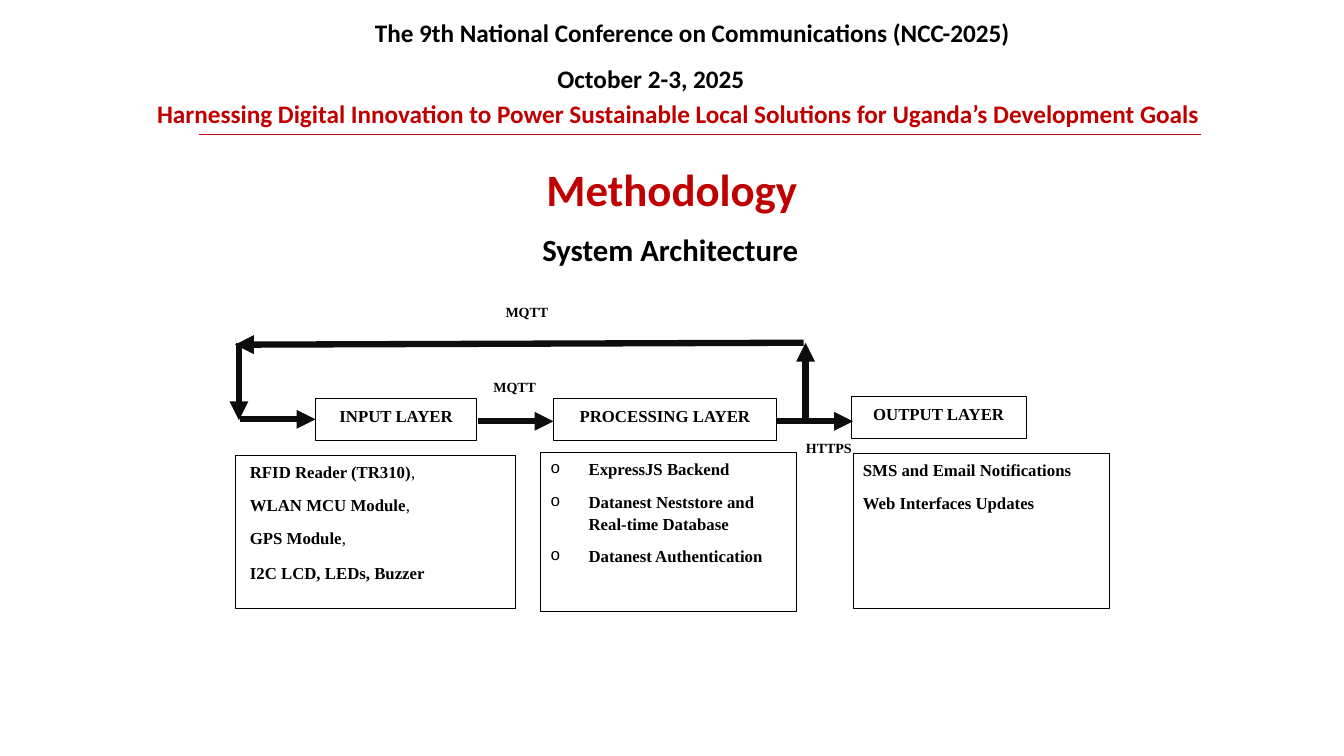
import pptx
import pptx.util
import pptx.dml.color
import pptx.enum.shapes
import pptx.enum.text
import pptx.oxml.ns
from lxml import etree

Inches = pptx.util.Inches
Pt = pptx.util.Pt
RGBColor = pptx.dml.color.RGBColor
ALIGN = pptx.enum.text.PP_ALIGN
ANCHOR = pptx.enum.text.MSO_ANCHOR
qn = pptx.oxml.ns.qn

BLACK = RGBColor(0x00, 0x00, 0x00)
WHITE = RGBColor(0xFF, 0xFF, 0xFF)
RED = RGBColor(0xC0, 0x00, 0x00)
ARROW = RGBColor(0x0D, 0x0D, 0x0D)
SANS = "Calibri"
SERIF = "Times New Roman"


def add_run(p, text, size, font, color=BLACK, bold=True):
    r = p.add_run()
    r.text = text
    r.font.size = Pt(size)
    r.font.name = font
    r.font.bold = bold
    r.font.color.rgb = color


def add_text(s, box, text, size, font, color=BLACK, align=ALIGN.LEFT, spacing=1.0):
    tf = s.shapes.add_textbox(*map(Inches, box)).text_frame
    tf.word_wrap = True
    tf.vertical_anchor = ANCHOR.TOP
    p = tf.paragraphs[0]
    p.alignment = align
    p.line_spacing = spacing
    add_run(p, text, size, font, color)


def add_label(s, box, text):
    add_text(s, box, text, 10, SERIF, align=ALIGN.CENTER, spacing=1.15)


def add_box(s, box):
    sp = s.shapes.add_shape(pptx.enum.shapes.MSO_SHAPE.RECTANGLE, *map(Inches, box))
    sp.shadow.inherit = False
    sp.fill.solid()
    sp.fill.fore_color.rgb = WHITE
    sp.line.color.rgb = BLACK
    sp.line.width = Pt(0.5)
    tf = sp.text_frame
    tf.word_wrap = True
    tf.vertical_anchor = ANCHOR.TOP
    return tf


def add_layer(s, box, text):
    p = add_box(s, box).paragraphs[0]
    p.alignment = ALIGN.CENTER
    p.line_spacing = 1.15
    add_run(p, text, 12, SERIF)


def set_indent(p, margin, hanging, bullet):
    pPr = p._p.get_or_add_pPr()
    pPr.set("marL", str(Inches(margin)))
    pPr.set("indent", str(-Inches(hanging)))
    if bullet:
        etree.SubElement(pPr, qn("a:buFont")).set("typeface", "Courier New")
        etree.SubElement(pPr, qn("a:buChar")).set("char", bullet)
    else:
        etree.SubElement(pPr, qn("a:buNone"))


def add_details(s, box, items, margin, hanging, bullet=None, ending="", last_gap=0):
    tf = add_box(s, box)
    for i, item in enumerate(items):
        last = i == len(items) - 1
        p = tf.paragraphs[0] if i == 0 else tf.add_paragraph()
        set_indent(p, margin, hanging, bullet)
        p.alignment = ALIGN.LEFT
        p.line_spacing = 1.07
        p.space_after = Pt(8)
        if last:
            p.space_before = Pt(last_gap)
        add_run(p, item, 12, SERIF)
        if ending and not last:
            add_run(p, ending, 12, SERIF, bold=False)


def add_line(s, points, color, width, arrow=False):
    c = s.shapes.add_connector(pptx.enum.shapes.MSO_CONNECTOR.STRAIGHT,
                               *map(Inches, points))
    c.line.color.rgb = color
    c.line.width = Pt(width)
    if arrow:
        etree.SubElement(c.line._get_or_add_ln(), qn("a:tailEnd")).set("type", "triangle")
    etree.SubElement(c._element.spPr, qn("a:effectLst"))


def add_header(s):
    add_text(s, (3.62, 0.12, 7.6, 0.4),
             "The 9th National Conference on Communications (NCC-2025)", 18, SANS)
    add_text(s, (5.43, 0.58, 2.45, 0.4), "October 2-3, 2025", 18, SANS)
    add_text(s, (1.46, 0.93, 10.62, 0.4),
             "Harnessing Digital Innovation to Power Sustainable Local Solutions "
             "for Uganda’s Development Goals", 18, SANS, RED)
    add_line(s, (1.97, 1.33, 11.91, 1.33), RED, 0.5)


def add_architecture(s):
    for box, text in (
        ((3.13, 3.95, 1.6, 0.42), "INPUT LAYER"),
        ((5.49, 3.95, 2.21, 0.42), "PROCESSING LAYER"),
        ((8.44, 3.93, 1.74, 0.42), "OUTPUT LAYER"),
    ):
        add_layer(s, box, text)
    for points in (
        (4.74, 4.18, 5.49, 4.18),
        (7.71, 4.18, 8.46, 4.18),
        (7.99, 4.17, 7.99, 3.4),
        (2.37, 3.4, 2.37, 4.17),
        (2.38, 4.16, 3.13, 4.16),
        (7.97, 3.4, 2.33, 3.42),
    ):
        add_line(s, points, ARROW, 4.5, arrow=True)
    add_details(s, (2.33, 4.52, 2.78, 1.52),
                ("RFID Reader (TR310)", "WLAN MCU Module", "GPS Module",
                 "I2C LCD, LEDs, Buzzer"), 0.3, 0.25, ending=",", last_gap=2)
    add_details(s, (5.36, 4.49, 2.54, 1.58),
                ("ExpressJS Backend", "Datanest Neststore and Real-time Database",
                 "Datanest Authentication"), 0.38, 0.38, bullet="o")
    add_details(s, (8.46, 4.5, 2.54, 1.54),
                ("SMS and Email Notifications", "Web Interfaces Updates"), 0.25, 0.25)
    add_label(s, (4.55, 3.68, 1.11, 0.4), "MQTT")
    add_label(s, (4.67, 2.94, 1.11, 0.34), "MQTT")
    add_label(s, (7.81, 4.29, 0.82, 0.39), "HTTPS")


def main():
    prs = pptx.Presentation()
    prs.slide_width = Inches(13.33)
    prs.slide_height = Inches(7.5)
    s = prs.slides.add_slide(prs.slide_layouts[6])
    add_header(s)
    add_text(s, (1.95, 1.62, 9.43, 0.47), "Methodology", 32, SANS, RED,
             ALIGN.CENTER, 0.9)
    add_architecture(s)
    add_text(s, (5.28, 2.28, 2.78, 0.47), "System Architecture", 22, SANS, spacing=0.9)
    prs.save("out.pptx")


if __name__ == "__main__":
    main()
